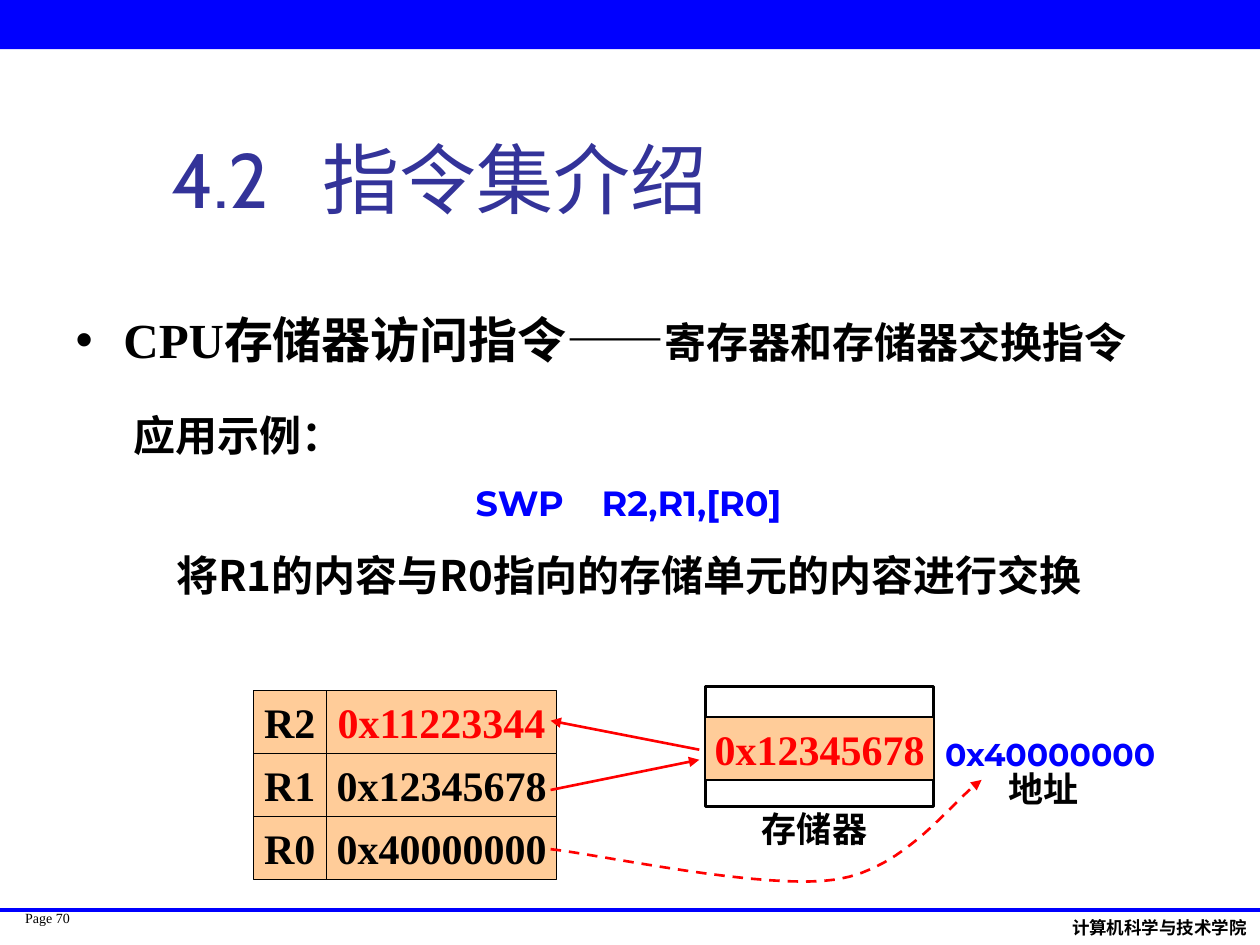
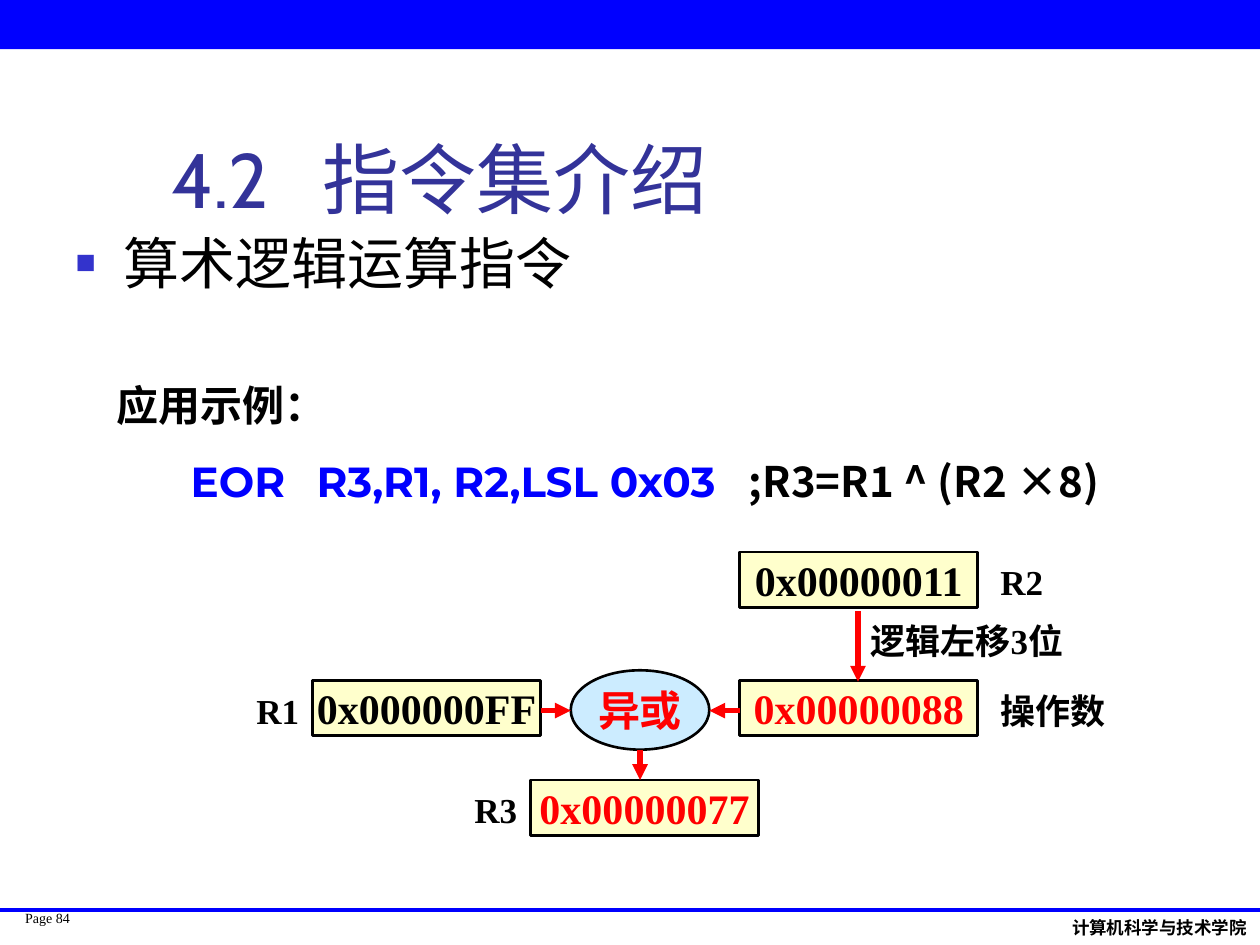
from dataclasses import dataclass

from pptx import Presentation
from pptx.dml.color import RGBColor
from pptx.enum.dml import MSO_LINE
from pptx.enum.shapes import MSO_CONNECTOR, MSO_SHAPE
from pptx.enum.text import MSO_ANCHOR as ANCHOR, MSO_AUTO_SIZE, PP_ALIGN as ALIGN
from pptx.oxml.ns import qn
from pptx.util import Inches, Pt
from lxml.etree import SubElement


@dataclass(frozen=True)
class Theme:
    blue: str = "0000FF"
    title: str = "333399"
    bullet: str = "3333CC"
    black: str = "000000"
    white: str = "FFFFFF"
    red: str = "FF0000"
    orange: str = "FFCC99"
    yellow: str = "FFFFCC"
    pale_blue: str = "CCECFF"
    serif: str = "Times New Roman"
    sans: str = "Cabin"
    code: str = "Montserrat"
    cjk: str = "Noto Sans CJK JP"
    title_size: int = 44
    topic_size: int = 32
    heading_size: int = 28
    text_size: int = 24
    label_size: int = 20
    address_size: int = 18
    footer_size: int = 10
    page_size: int = 8


T = Theme()

TITLE = "4.2\t指令集介绍"
SCHOOL = "计算机科学与技术学院"

SWAP_TOPIC = [("CPU存储器访问指令——", {"size": T.heading_size}),
              ("寄存器和存储器交换指令", {})]
SWAP_EXAMPLE = [
    ("应用示例：", {"font": T.cjk}),
    ("SWP\tR2,R1,[R0]", {"font": T.code, "size": T.label_size, "color": T.blue,
                         "align": ALIGN.CENTER, "before": 12.5, "tabs": [1]}),
    ("将R1的内容与R0指向的存储单元的内容进行交换",
     {"font": T.cjk, "align": ALIGN.CENTER, "before": 15}),
]
REGISTERS = [("R2", "0x11223344", T.red),
             ("R1", "0x12345678", T.black),
             ("R0", "0x40000000", T.black)]
MEMORY_VALUE = "0x12345678"
MEMORY_ADDRESS = "0x40000000"
MEMORY_LABELS = [("存储器", 5.6, 6.36), ("地址", 7.42, 6.04)]
SWAP_ARROWS = [((4.37, 6.27), (5.55, 6.03)), ((5.55, 5.95), (4.37, 5.72))]
ADDRESS_CURVE = [[(4.37, 6.74), (4.75, 6.78), (6.07, 7.07), (6.64, 6.98)],
                 [(6.64, 6.98), (7.2, 6.89), (7.55, 6.36), (7.79, 6.19)]]

XOR_TOPIC = "算术逻辑运算指令"
XOR_EXAMPLE = [
    ("应用示例：", {"font": T.code}),
    ([("EOR\tR3,R1, R2,LSL 0x03\t", {"font": T.code, "color": T.blue}),
      (";R3=R1 ^ (R2 ×8)", {"font": T.cjk})],
     {"align": ALIGN.CENTER, "before": 15, "tabs": [1, 4.43]}),
]
SHIFT_Y, OPERAND_Y, RESULT_Y, VALUE_H = 4.38, 5.4, 6.19, 0.44
XOR_VALUES = [("0x000000FF", 2.48, OPERAND_Y, 1.81, T.black),
              ("0x00000011", 5.87, SHIFT_Y, 1.89, T.black),
              ("0x00000088", 5.87, OPERAND_Y, 1.89, T.red),
              ("0x00000077", 4.21, RESULT_Y, 1.81, T.red)]
XOR_LABELS = [("R1", 1.85, OPERAND_Y, 0.71, ALIGN.CENTER),
              ("R3", 3.58, RESULT_Y, 0.71, ALIGN.CENTER),
              ("R2", 7.84, SHIFT_Y, 0.79, ALIGN.LEFT),
              ("操作数", 7.84, OPERAND_Y, 1.02, ALIGN.LEFT),
              ("逻辑左移3位", 6.81, 4.85, 1.81, ALIGN.LEFT)]
XOR_ARROWS = [((4.29, 5.64), (4.53, 5.64)), ((5.87, 5.64), (5.63, 5.64)),
              ((5.08, 5.95), (5.08, 6.19)), ((6.81, 4.85), (6.81, 5.41))]


def rgb(color):
    return RGBColor.from_string(color)


def add_text(tf, text, size=T.text_size, font=T.serif, color=T.black, bold=True,
             align=ALIGN.LEFT, before=0, tabs=(), bullet=None):
    """Add a paragraph; text is a string or a list of (text, run format) pairs."""
    p = tf.paragraphs[0] if not tf.text else tf.add_paragraph()
    pPr = p._p.get_or_add_pPr()
    if bullet:
        char, bullet_color, percent = bullet
        pPr.set("marL", str(Inches(0.38)))
        pPr.set("indent", str(Inches(-0.38)))
        clr = SubElement(pPr, qn("a:buClr"))
        SubElement(clr, qn("a:srgbClr"), val=bullet_color)
        SubElement(pPr, qn("a:buSzPct"), val=str(percent * 1000))
        SubElement(pPr, qn("a:buChar"), char=char)
    if tabs:
        stops = SubElement(pPr, qn("a:tabLst"))
        for stop in tabs:
            SubElement(stops, qn("a:tab"), pos=str(Inches(stop)), algn="l")
    p.alignment = align
    p.space_before = Pt(before)
    base = {"size": size, "font": font, "color": color}
    for run_text, changes in ([(text, {})] if isinstance(text, str) else text):
        fmt = base | changes
        r = p.add_run()
        r.text = run_text
        r.font.size = Pt(fmt["size"])
        r.font.name = fmt["font"]
        r.font.bold = bold
        r.font.color.rgb = rgb(fmt["color"])
        SubElement(r._r.get_or_add_rPr(), qn("a:ea"), typeface=T.cjk)


def frame(shape, anchor=ANCHOR.TOP, wrap=True, inset=(0.1, 0.05)):
    tf = shape.text_frame
    tf.auto_size = MSO_AUTO_SIZE.NONE
    tf.word_wrap = wrap
    tf.vertical_anchor = anchor
    tf.margin_left = tf.margin_right = Inches(inset[0])
    tf.margin_top = tf.margin_bottom = Inches(inset[1])
    return tf


def place(shape, *box):
    shape.left, shape.top, shape.width, shape.height = map(Inches, box)
    return shape


def text_box(s, box, **kwargs):
    return frame(s.shapes.add_textbox(*map(Inches, box)), **kwargs)


def add_label(s, text, box, **fmt):
    add_text(text_box(s, box, anchor=ANCHOR.MIDDLE, wrap=False), text, **fmt)


def add_box(s, box, fill, line=None, text="", kind=MSO_SHAPE.RECTANGLE, color=T.black):
    sp = s.shapes.add_shape(kind, *map(Inches, box))
    sp.shadow.inherit = False
    sp.fill.solid()
    sp.fill.fore_color.rgb = rgb(fill)
    if line:
        sp.line.color.rgb = rgb(T.black)
        sp.line.width = Pt(line)
    else:
        sp.line.fill.background()
    if text:
        tf = frame(sp, ANCHOR.MIDDLE, wrap=False)
        add_text(tf, text, color=color, align=ALIGN.CENTER)


def style_line(shape, color, width, arrow=True):
    shape.line.color.rgb = rgb(color)
    shape.line.width = Pt(width)
    if arrow:
        SubElement(shape.line._get_or_add_ln(), qn("a:tailEnd"), type="triangle")


def add_line(s, start, end, color, width, arrow=True):
    line = s.shapes.add_connector(MSO_CONNECTOR.STRAIGHT, *map(Inches, start + end))
    style_line(line, color, width, arrow)
    SubElement(line._element.spPr, qn("a:effectLst"))


def bezier(points, t):
    weights = ((1 - t) ** 3, 3 * t * (1 - t) ** 2, 3 * t * t * (1 - t), t ** 3)
    return tuple(Inches(sum(w * c for w, c in zip(weights, axis)))
                 for axis in zip(*points))


def add_dashed_curve(s, segments, steps=16):
    points = [bezier(seg, i / steps) for seg in segments for i in range(1, steps + 1)]
    builder = s.shapes.build_freeform(*bezier(segments[0], 0))
    builder.add_line_segments(points, close=False)
    curve = builder.convert_to_shape()
    curve.shadow.inherit = False
    curve.fill.background()
    curve.line.dash_style = MSO_LINE.DASH
    style_line(curve, T.red, 1.5)


def new_slide(prs, page):
    """Add a slide with band, footer and title; return it with its body placeholder."""
    s = prs.slides.add_slide(prs.slide_layouts[1])
    add_box(s, (0, 0, 10, 0.39), T.blue)
    add_line(s, (0, 7.22), (10, 7.22), T.blue, 2.25, arrow=False)
    add_text(text_box(s, (0.2, 7.22, 0.51, 0.27), inset=(0, 0)), f"Page {page}",
             size=T.page_size, bold=False)
    add_text(text_box(s, (8.41, 7.23, 1.59, 0.27)), SCHOOL,
             size=T.footer_size, font=T.sans)
    title = place(s.shapes.title, 1.26, 0.23, 8.52, 1.6)
    add_text(frame(title, ANCHOR.BOTTOM), TITLE, size=T.title_size, font=T.sans,
             color=T.title, bold=False, tabs=[1.2])
    return s, s.placeholders[1]


def add_example(s, box, lines):
    tf = text_box(s, box)
    for text, fmt in lines:
        add_text(tf, text, **fmt)


def swap_slide(prs):
    s, body = new_slide(prs, 70)
    add_text(frame(place(body, 0.5, 2.41, 9.17, 0.67)), SWAP_TOPIC,
             bullet=("•", T.black, 100))
    add_example(s, (0.96, 3.2, 8.06, 1.62), SWAP_EXAMPLE)

    left, top, name_w, value_w, row_h = 2.01, 5.48, 0.58, 1.83, 0.5
    for i, (name, value, color) in enumerate(REGISTERS):
        y = top + i * row_h
        add_box(s, (left, y, name_w, row_h), T.orange, 0.75, name)
        add_box(s, (left + name_w, y, value_w, row_h), T.orange, 0.75, value, color=color)

    add_box(s, (5.6, 5.45, 1.81, 0.95), T.white, 1.5)
    add_box(s, (5.6, 5.69, 1.81, row_h), T.orange, 0.75, MEMORY_VALUE, color=T.red)
    add_label(s, MEMORY_ADDRESS, (7.42, 5.73, 1.83, row_h), size=T.address_size,
              font=T.code, color=T.blue, align=ALIGN.CENTER)
    for text, x, y in MEMORY_LABELS:
        add_text(text_box(s, (x, y, 1.73, 0.44)), text, size=T.label_size,
                 align=ALIGN.CENTER)
    add_dashed_curve(s, ADDRESS_CURVE)
    for start, end in SWAP_ARROWS:
        add_line(s, start, end, T.red, 1.5)


def xor_slide(prs):
    s, body = new_slide(prs, 84)
    add_text(frame(place(body, 0.5, 1.76, 9, 0.83)), XOR_TOPIC, size=T.topic_size,
             font=T.sans, bold=False, bullet=("■", T.bullet, 60))
    add_example(s, (0.83, 2.96, 8.58, 1.11), XOR_EXAMPLE)
    for value, x, y, width, color in XOR_VALUES:
        add_box(s, (x, y, width, VALUE_H), T.yellow, 1.5, value, color=color)
    add_box(s, (4.53, 5.32, 1.1, 0.63), T.pale_blue, 1.5, "异或",
            MSO_SHAPE.OVAL, T.red)
    for text, x, y, width, align in XOR_LABELS:
        add_label(s, text, (x, y, width, 0.47), size=T.label_size, align=align)
    for start, end in XOR_ARROWS:
        add_line(s, start, end, T.red, 3)


def main():
    prs = Presentation()
    prs.slide_width, prs.slide_height = Inches(10), Inches(7.5)
    swap_slide(prs)
    xor_slide(prs)
    prs.save("out.pptx")


if __name__ == "__main__":
    main()
